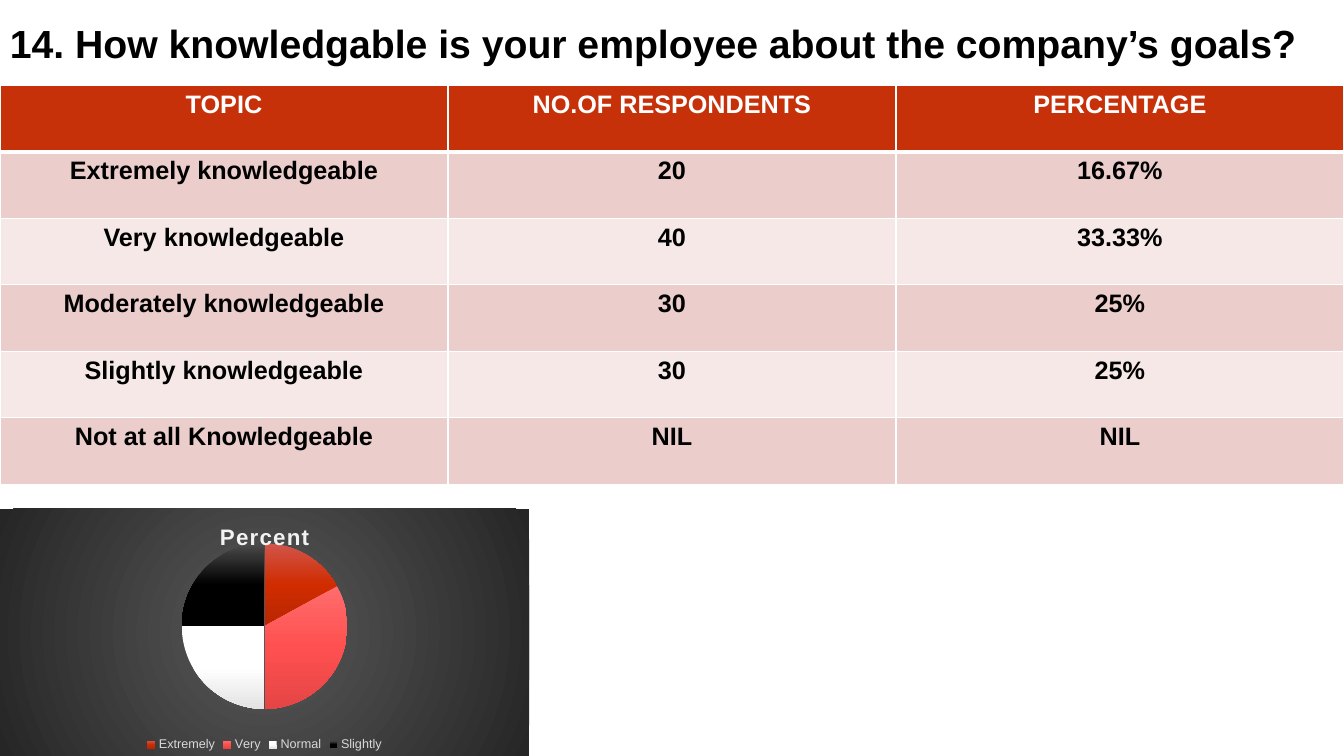
import pptx
import pptx.chart.data
import pptx.dml.color
import pptx.enum.chart
import pptx.enum.text
import pptx.oxml
import pptx.oxml.ns
import pptx.util

Pt = pptx.util.Pt
FONT = "Arial"
COLORS = {
    "text": "000000", "white": "FFFFFF", "header": "C73109",
    "odd_row": "EBCECC", "even_row": "F5E8E7",
    "chart_title": "F2F2F2", "legend": "D9D9D9",
}
BACKDROP = [(0, "595959"), (100, "262626")]
SLICES = [
    ("Extremely", 17, [(0, "D1554B"), (50, "D02C00"), (100, "B92700")]),
    ("Very", 33, [(0, "FF6C6C"), (50, "FF5050"), (100, "E54545")]),
    ("Normal", 25, [(0, "FFFFFF"), (50, "FFFFFF"), (100, "E3E3E3")]),
    ("Slightly", 25, [(0, "4B4B4B"), (50, "000000"), (100, "000000")]),
]
ANSWERS = [
    ("TOPIC", "NO.OF RESPONDENTS", "PERCENTAGE"),
    ("Extremely knowledgeable", "20", "16.67%"),
    ("Very knowledgeable", "40", "33.33%"),
    ("Moderately knowledgeable", "30", "25%"),
    ("Slightly knowledgeable", "30", "25%"),
    ("Not at all Knowledgeable", "NIL", "NIL"),
]
LINEAR = '<a:lin ang="5400000" scaled="0"/>'
RADIAL = ('<a:path path="circle"><a:fillToRect l="50000" t="50000" '
          'r="50000" b="50000"/></a:path>')


def rgb(name):
    return pptx.dml.color.RGBColor.from_string(COLORS[name])


def set_font(font, size, color, bold=False):
    font.name, font.size, font.bold = FONT, Pt(size), bold
    font.color.rgb = rgb(color)


def xml(tag, content):
    """Parse one element whose namespaces are those of drawings and charts."""
    name = tag.split()[0]
    namespaces = pptx.oxml.ns.nsdecls("a", "c")
    return pptx.oxml.parse_xml(f"<{tag} {namespaces}>{content}</{name}>")


def gradient(stops, direction):
    stop_list = "".join(
        f'<a:gs pos="{percent * 1000}"><a:srgbClr val="{color}"/></a:gs>'
        for percent, color in stops)
    return xml("a:gradFill", f"<a:gsLst>{stop_list}</a:gsLst>{direction}")


def add_title(slide, left, top, width, height):
    frame = slide.shapes.add_textbox(Pt(left), Pt(top), Pt(width), Pt(height)).text_frame
    frame.word_wrap = True
    frame.vertical_anchor = pptx.enum.text.MSO_ANCHOR.MIDDLE
    paragraph = frame.paragraphs[0]
    paragraph.text = "14. How knowledgable is your employee about the company’s goals?"
    set_font(paragraph.font, 28, "text", bold=True)


def set_borders(cell, is_header, below_header):
    widths = {"L": 1, "R": 1, "T": 3 if below_header else 1, "B": 3 if is_header else 1}
    properties = cell._tc.get_or_add_tcPr()
    for index, (side, width) in enumerate(widths.items()):
        color = f'<a:solidFill><a:srgbClr val="{COLORS["white"]}"/></a:solidFill>'
        properties.insert(index, xml(f'a:ln{side} w="{Pt(width)}"', color))


def add_answer_table(slide, left, top, width, height):
    row_count, column_count = len(ANSWERS), len(ANSWERS[0])
    table = slide.shapes.add_table(
        row_count, column_count, Pt(left), Pt(top), Pt(width), Pt(height)).table
    for row_index, answers in enumerate(ANSWERS):
        is_header = row_index == 0
        fill = "header" if is_header else "odd_row" if row_index % 2 else "even_row"
        for column_index, text in enumerate(answers):
            cell = table.cell(row_index, column_index)
            cell.fill.solid()
            cell.fill.fore_color.rgb = rgb(fill)
            set_borders(cell, is_header, row_index == 1)
            paragraph = cell.text_frame.paragraphs[0]
            paragraph.text = text
            paragraph.alignment = pptx.enum.text.PP_ALIGN.CENTER
            set_font(paragraph.font, 18, "white" if is_header else "text", bold=True)


def place_plot(chart, x, y, width, height):
    """Fix the inner plot area, in fractions of the chart."""
    plot_area = chart.element.xpath("c:chart/c:plotArea")[0]
    for layout in plot_area.xpath("c:layout"):
        plot_area.remove(layout)
    values = {"layoutTarget": "inner", "xMode": "edge", "yMode": "edge",
              "x": x, "y": y, "w": width, "h": height}
    settings = "".join(f'<c:{key} val="{value}"/>' for key, value in values.items())
    plot_area.insert(0, xml("c:layout", f"<c:manualLayout>{settings}</c:manualLayout>"))


def add_percent_chart(slide, left, top, width, height):
    data = pptx.chart.data.CategoryChartData()
    data.categories = [name for name, _, _ in SLICES]
    data.add_series("Percent", [value for _, value, _ in SLICES])
    chart = slide.shapes.add_chart(
        pptx.enum.chart.XL_CHART_TYPE.PIE,
        Pt(left), Pt(top), Pt(width), Pt(height), data).chart
    set_font(chart.font, 10, "text")

    chart.has_title = True
    paragraph = chart.chart_title.text_frame.paragraphs[0]
    paragraph.text = "Percent"
    set_font(paragraph.font, 16, "chart_title", bold=True)
    for properties in paragraph._p.xpath("a:pPr/a:defRPr"):
        properties.set("spc", "100")

    chart.has_legend = True
    chart.legend.position = pptx.enum.chart.XL_LEGEND_POSITION.BOTTOM
    chart.legend.include_in_layout = False
    set_font(chart.legend.font, 9, "legend")

    plot = chart.plots[0]
    plot.vary_by_categories = True
    for index, (_, _, stops) in enumerate(SLICES):
        plot.series[0].points[index].format.line.fill.background()
        properties = chart.element.xpath(".//c:dPt/c:spPr")[index]
        properties.insert(0, gradient(stops, LINEAR))
    place_plot(chart, 0.01, 0.14, 0.98, 0.67)

    backdrop = xml("c:spPr", "<a:ln><a:noFill/></a:ln>")
    backdrop.insert(0, gradient(BACKDROP, RADIAL))
    chart.element.xpath("c:txPr")[0].addprevious(backdrop)


def main():
    presentation = pptx.Presentation()
    presentation.slide_width, presentation.slide_height = Pt(960), Pt(540)
    slide = presentation.slides.add_slide(presentation.slide_layouts[6])
    add_title(slide, 0, 0, 960, 61)
    add_answer_table(slide, 0, 61, 960, 285)
    add_percent_chart(slide, 0, 363.5, 378, 176.5)
    presentation.save("out.pptx")


if __name__ == "__main__":
    main()
